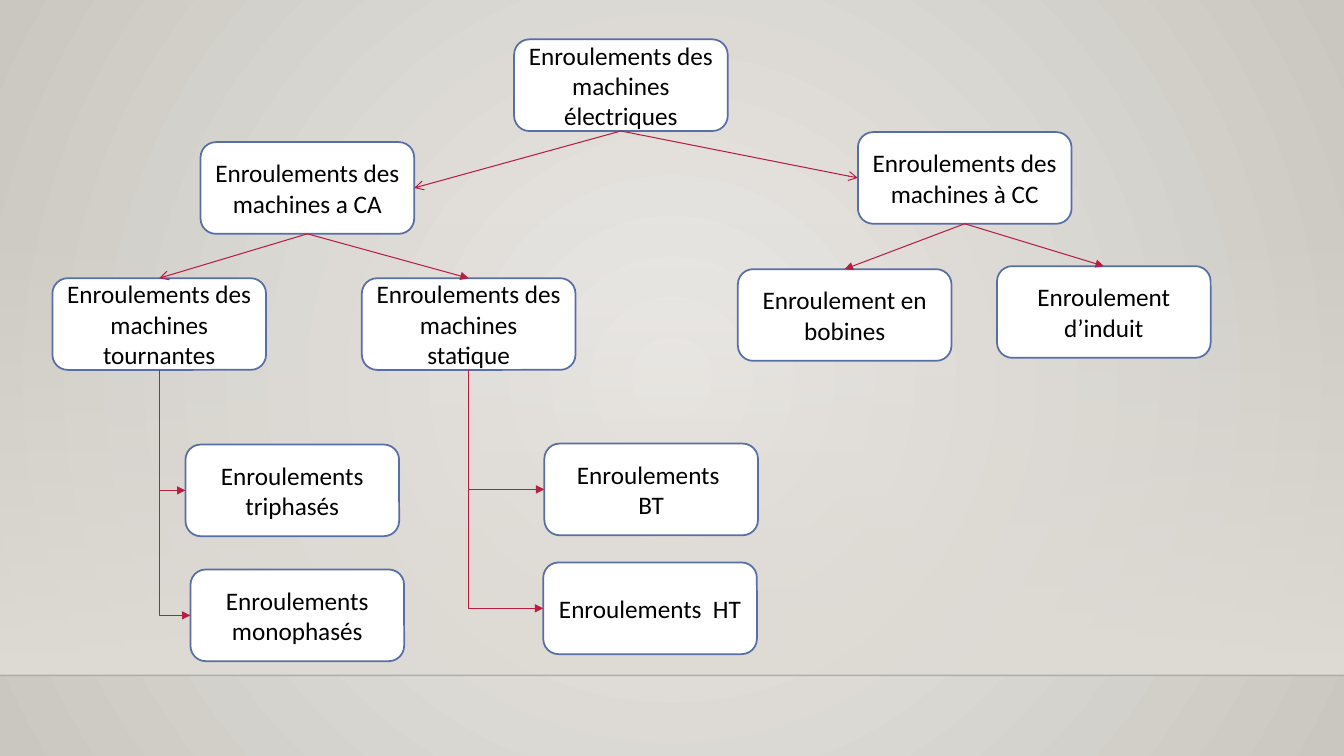
from lxml.etree import SubElement
from pptx import Presentation
from pptx.dml.color import RGBColor
from pptx.enum.shapes import MSO_CONNECTOR, MSO_SHAPE
from pptx.enum.text import MSO_ANCHOR, PP_ALIGN
from pptx.oxml import parse_xml
from pptx.oxml.ns import nsdecls, qn
from pptx.util import Inches, Pt

WHITE = RGBColor(0xFF, 0xFF, 0xFF)
BLACK = RGBColor(0x00, 0x00, 0x00)
BLUE = RGBColor(0x58, 0x6E, 0xA6)
RED = RGBColor(0xB7, 0x1E, 0x42)
SAND = RGBColor(0xDF, 0xDB, 0xD5)
GLOW = RGBColor(0xEC, 0xEA, 0xE7)
EDGE = RGBColor(0xCA, 0xC7, 0xC1)
TOP, LEFT, BOTTOM, RIGHT = range(4)

deck = Presentation()
deck.slide_width, deck.slide_height = Inches(13.33), Inches(7.5)
page = deck.slides.add_slide(deck.slide_layouts[6])
column, row = deck.slide_width / 100, deck.slide_height / 100


def paint_gradient(fill, colors):
    fill.gradient()
    for stop, color in zip(fill.gradient_stops, colors):
        stop.color.rgb = color


def add_line(kind, color, width, ends=(0, 0, 0, 0)):
    line = page.shapes.add_connector(kind, *ends)
    line.line.color.rgb = color
    line.line.width = Pt(width)
    SubElement(line._element.spPr, qn("a:effectLst"))
    return line


backdrop = page.background.fill
paint_gradient(backdrop, (GLOW, EDGE))
gradient = page._element.find(".//" + qn("a:gradFill"))
gradient.replace(gradient.find(qn("a:lin")), parse_xml(
    f'<a:path {nsdecls("a")} path="circle">'
    '<a:fillToRect l="50000" t="50000" r="50000" b="50000"/></a:path>'))

floor = round(89.33 * row)
wall_top = round(29.47 * row)
wall = page.shapes.add_shape(
    MSO_SHAPE.RECTANGLE, 0, wall_top, deck.slide_width, floor - wall_top)
wall.shadow.inherit = False
wall.line.fill.background()
paint_gradient(wall.fill, (SAND, SAND))
wall.fill.gradient_angle = 270
SubElement(wall._element.find(".//" + qn("a:srgbClr")), qn("a:alpha"), val="0")

floor_line = add_line(MSO_CONNECTOR.STRAIGHT, BLACK, 1,
                      (0, floor, deck.slide_width, floor))
SubElement(floor_line._element.find(".//" + qn("a:srgbClr")), qn("a:alpha"), val="20000")

nodes = {
    "root": (38.25, 5.2, "Enroulements des machines électriques"),
    "ac": (14.92, 18.8, "Enroulements des machines a CA"),
    "dc": (63.83, 17.47, "Enroulements des machines à CC"),
    "rotating": (3.9, 36.8, "Enroulements des machines tournantes"),
    "static": (26.92, 36.8, "Enroulements des machines statique"),
    "coils": (54.9, 35.6, "Enroulement en bobines"),
    "armature": (74.18, 35.2, "Enroulement d’induit"),
    "three_phase": (13.8, 58.8, "Enroulements triphasés"),
    "low_voltage": (40.5, 58.67, "Enroulements \vBT"),
    "high_voltage": (40.42, 74.4, "Enroulements  HT"),
    "single_phase": (14.17, 75.33, "Enroulements monophasés"),
}
boxes = {}
for name, (x, y, words) in nodes.items():
    box = page.shapes.add_shape(
        MSO_SHAPE.ROUNDED_RECTANGLE, round(x * column), round(y * row),
        round(15.9 * column), round(12.13 * row))
    box.shadow.inherit = False
    box.fill.solid()
    box.fill.fore_color.rgb = WHITE
    box.line.color.rgb = BLUE
    box.line.width = Pt(1.25)
    frame = box.text_frame
    frame.word_wrap = True
    frame.vertical_anchor = MSO_ANCHOR.MIDDLE
    para = frame.paragraphs[0]
    para.text = words
    para.alignment = PP_ALIGN.CENTER
    for span in para.runs:
        span.font.name = "Calibri"
        span.font.size = Pt(18)
        span.font.color.rgb = BLACK
    boxes[name] = box

STRAIGHT, ELBOW = MSO_CONNECTOR.STRAIGHT, MSO_CONNECTOR.ELBOW
links = [
    ("root", "dc", LEFT, STRAIGHT, "arrow"),
    ("root", "ac", RIGHT, STRAIGHT, "arrow"),
    ("ac", "rotating", TOP, STRAIGHT, "arrow"),
    ("ac", "static", TOP, STRAIGHT, "triangle"),
    ("dc", "coils", TOP, STRAIGHT, "triangle"),
    ("dc", "armature", TOP, STRAIGHT, "triangle"),
    ("rotating", "three_phase", LEFT, ELBOW, "triangle"),
    ("rotating", "single_phase", LEFT, ELBOW, "triangle"),
    ("static", "low_voltage", LEFT, ELBOW, "triangle"),
    ("static", "high_voltage", LEFT, ELBOW, "triangle"),
]
for parent, child, side, kind, head in links:
    link = add_line(kind, RED, 0.75)
    link.begin_connect(boxes[parent], BOTTOM)
    link.end_connect(boxes[child], side)
    properties = link._element.spPr
    SubElement(properties.find(qn("a:ln")), qn("a:tailEnd"), type=head)
    if kind == ELBOW:
        across, down = link.width, link.height
        link.left += (across - down) // 2
        link.top += (down - across) // 2
        link.width, link.height = down, across
        properties.find(qn("a:prstGeom")).set("prst", "bentConnector2")
        turn = properties.find(qn("a:xfrm"))
        turn.set("rot", "16200000")
        turn.set("flipH", "1")

deck.save("out.pptx")
